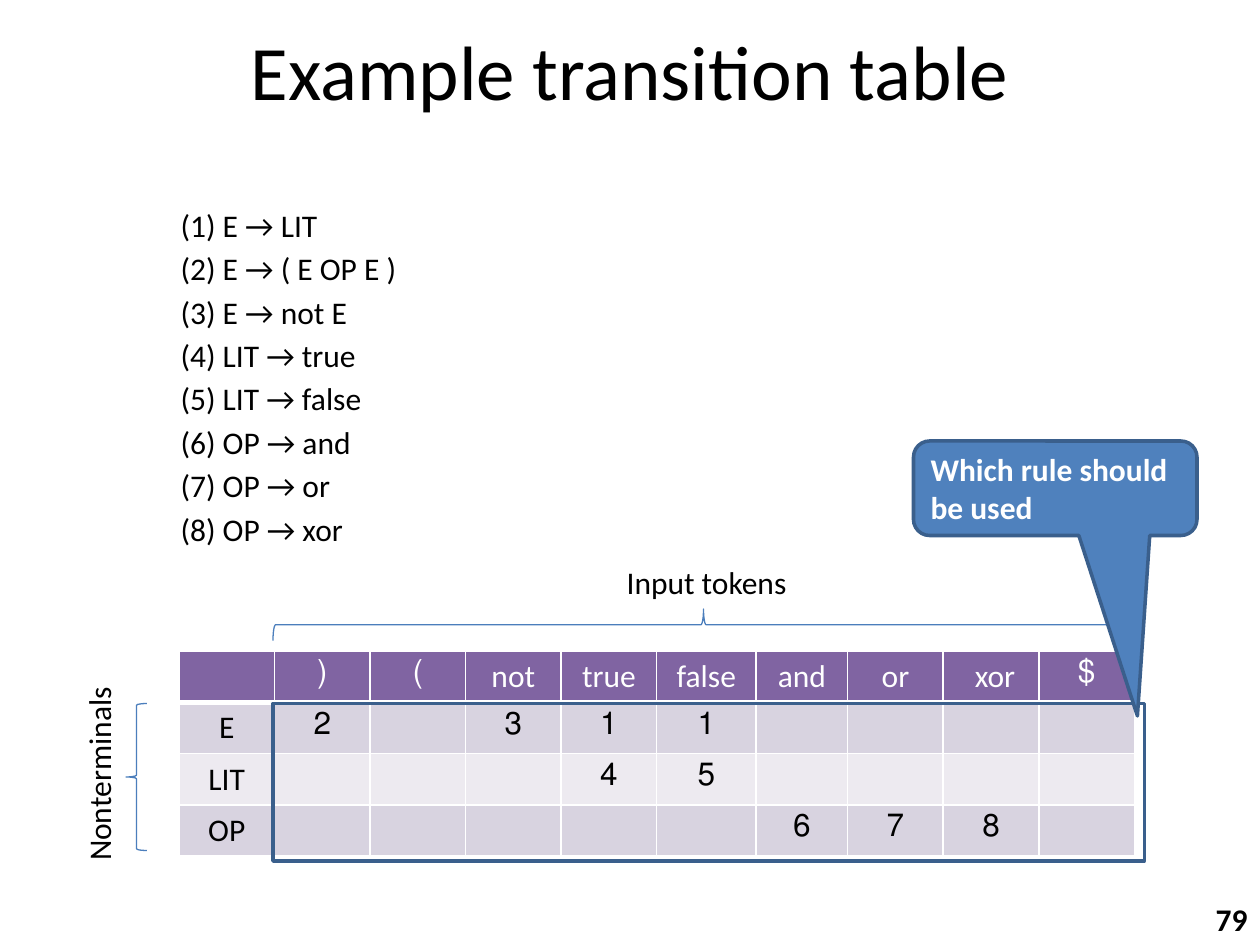
from lxml.etree import SubElement
from pptx import Presentation
from pptx.dml.color import RGBColor
from pptx.enum.shapes import MSO_SHAPE
from pptx.enum.text import MSO_ANCHOR, MSO_AUTO_SIZE, PP_ALIGN
from pptx.oxml.ns import qn
from pptx.util import Pt

RULES = [
    "E → LIT", "E → ( E OP E )", "E → not E", "LIT → true",
    "LIT → false", "OP → and", "OP → or", "OP → xor",
]
# Cells read right to left, so brackets show mirrored.
TOKENS = ["", "(", ")", "not", "true", "false", "and", "or", "xor ", "$"]
MOVES = {
    "E": {"(": "2", "not": "3", "true": "1", "false": "1"},
    "LIT": {"true": "4", "false": "5"},
    "OP": {"and": "6", "or": "7", "xor ": "8"},
}
WIDTHS = [54.6] * 5 + [56.8, 52.4] + [54.6] * 3
ROW = 29.25


def color(code):
    return RGBColor.from_string(code)


def write(frame, text, size=18, ink="000000", bold=False, align=None,
          gap=0, plain=False, rtl=False):
    """Fill a text frame, one paragraph for each line of text."""
    for i, line in enumerate(text.split("\n")):
        para = frame.paragraphs[0] if i == 0 else frame.add_paragraph()
        props = para._p.get_or_add_pPr()
        if plain:
            props.set("marL", "0")
            props.set("indent", "0")
            SubElement(props, qn("a:buNone"))
        if rtl:
            props.set("rtl", "1")
        para.alignment = align
        para.space_before = Pt(gap if i else 0)
        run = para.add_run()
        run.text = line
        font = run.font
        font.name, font.size, font.bold = "Calibri", Pt(size), bold
        font.color.rgb = color(ink)


def edge(cell, side, width):
    line = SubElement(cell._tc.get_or_add_tcPr(), qn("a:ln" + side),
                      w=str(Pt(width)))
    fill = SubElement(line, qn("a:solidFill"))
    SubElement(fill, qn("a:srgbClr"), val="FFFFFF")


class Deck:
    blue, dark, thin = "4F81BD", "3A5F8C", "4B7EBC"
    head, bands = "8064A2", ("D8D3E0", "EDEAF0")

    def __init__(self):
        self.file = Presentation()
        self.file.slide_width, self.file.slide_height = Pt(720), Pt(540)
        self.slide = self.file.slides.add_slide(self.file.slide_layouts[1])

    def holder(self, index, box, text, **look):
        shape = self.slide.placeholders[index]
        shape.left, shape.top, shape.width, shape.height = map(Pt, box)
        write(shape.text_frame, text, **look)
        return shape

    def label(self, box, text, turn=0, wrap=False, **look):
        shape = self.slide.shapes.add_textbox(*map(Pt, box))
        shape.rotation = turn
        shape.text_frame.word_wrap = wrap
        write(shape.text_frame, text, **look)

    def shape(self, kind, box, line, width, fill=None, turn=0):
        shape = self.slide.shapes.add_shape(kind, *map(Pt, box))
        shape.shadow.inherit = False
        shape.rotation = turn
        shape.line.color.rgb = color(line)
        shape.line.width = Pt(width)
        if fill:
            shape.fill.solid()
            shape.fill.fore_color.rgb = color(fill)
        else:
            shape.fill.background()
        return shape

    def brace(self, box, turn=0):
        self.shape(MSO_SHAPE.LEFT_BRACE, box, self.thin, 0.75, turn=turn)

    def callout(self, box, text, adjust):
        shape = self.shape(MSO_SHAPE.ROUNDED_RECTANGULAR_CALLOUT, box,
                           self.dark, 2, self.blue)
        for i, value in enumerate(adjust):
            shape.adjustments[i] = value
        shape.text_frame.word_wrap = True
        shape.text_frame.vertical_anchor = MSO_ANCHOR.MIDDLE
        write(shape.text_frame, text, ink="FFFFFF", bold=True,
              align=PP_ALIGN.LEFT)

    def grid(self, left, top, rows):
        table = self.slide.shapes.add_table(
            len(rows), len(WIDTHS), Pt(left), Pt(top),
            Pt(sum(WIDTHS)), Pt(ROW * len(rows))).table
        for col, width in zip(table.columns, WIDTHS):
            col.width = Pt(width)
        for r, row in enumerate(rows):
            table.rows[r].height = Pt(ROW)
            for c, text in enumerate(row):
                cell = table.cell(r, c)
                for side in "LRTB":
                    edge(cell, side, 3 if r == 0 and side == "B" else 1)
                cell.fill.solid()
                fill = self.bands[(r - 1) % 2] if r else self.head
                cell.fill.fore_color.rgb = color(fill)
                if text:
                    write(cell.text_frame, text, align=PP_ALIGN.CENTER,
                          ink="000000" if r else "FFFFFF", rtl=True)


def main():
    deck = Deck()
    deck.holder(0, (36, 9.5, 648, 61), "Example transition table",
                size=44, align=PP_ALIGN.CENTER)
    rules = "\n".join(f"({n}) {rule}" for n, rule in enumerate(RULES, 1))
    body = deck.holder(1, (96, 114, 360, 212), rules, gap=3.2, plain=True)
    body.text_frame.auto_size = MSO_AUTO_SIZE.SHAPE_TO_FIT_TEXT

    rows = [TOKENS]
    for name, moves in MOVES.items():
        rows.append([name] + [moves.get(token, "") for token in TOKENS[1:]])
    deck.grid(102.25, 372.25, rows)

    deck.brace((72, 402, 12, 84))
    deck.label((-2, 426, 117, 29), "Nonterminals", turn=270)
    deck.brace((393, 111, 18, 492), turn=90)
    deck.label((351, 318, 108, 29), "Input tokens")
    deck.shape(MSO_SHAPE.RECTANGLE, (156, 402, 498, 90), deck.dark, 2)
    deck.callout((522, 252, 162, 54), "Which rule should be used",
                 (0.29, 2.41, 0.17))
    deck.label((683, 511, 37, 29), "79", wrap=True, bold=True,
               align=PP_ALIGN.RIGHT)
    deck.file.save("out.pptx")


if __name__ == "__main__":
    main()
